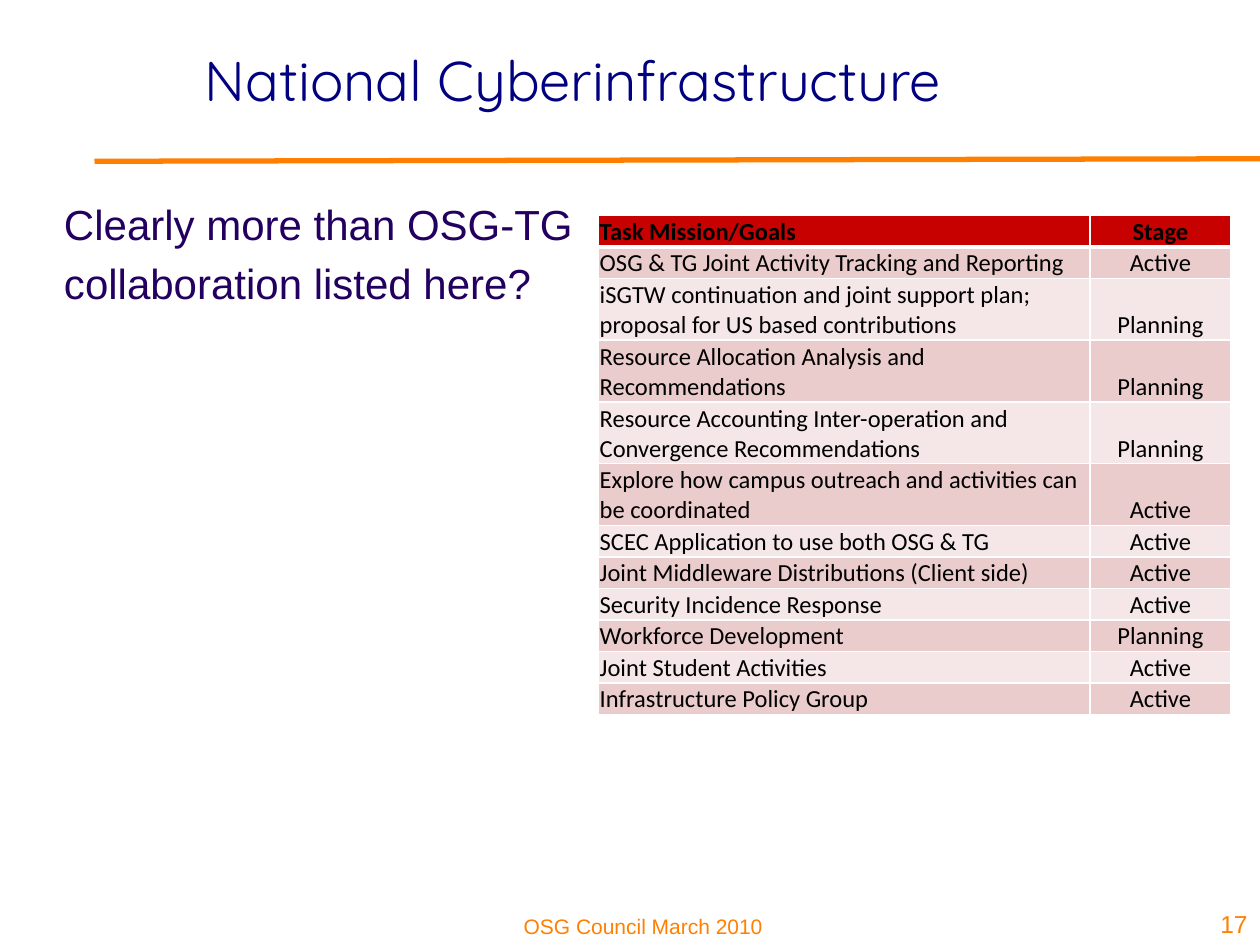
from lxml import etree
from pptx import Presentation
from pptx.dml.color import RGBColor
from pptx.enum.shapes import MSO_CONNECTOR
from pptx.enum.text import MSO_ANCHOR as ANCHOR, PP_ALIGN as ALIGN
from pptx.oxml import parse_xml
from pptx.oxml.ns import nsdecls, qn
from pptx.util import Inches, Pt

ORANGE = "FF8000"
ROW_HEIGHT, TALL_ROW_HEIGHT = 0.25, 0.49


def style(p, size, font, color, align, bold=False):
    p.alignment = align
    for r in p.runs:
        r.font.size = Pt(size)
        r.font.name = font
        r.font.bold = bold
        r.font.color.rgb = RGBColor.from_string(color)


def add_text(box, text, size, font, color, align, anchor, before=0):
    tf = s.shapes.add_textbox(*[Inches(v) for v in box]).text_frame
    tf.word_wrap = True
    tf.vertical_anchor = anchor
    tf.text = text
    for p in tf.paragraphs:
        p.space_before = Pt(before)
        style(p, size, font, color, align)


prs = Presentation()
prs.slide_width, prs.slide_height = Inches(10), Inches(7.5)
s = prs.slides.add_slide(prs.slide_layouts[6])

add_text((3.57, 7.08, 3.07, 0.42), "OSG Council March 2010", 12, "Arial", ORANGE,
         ALIGN.CENTER, ANCHOR.BOTTOM)

rule = s.shapes.add_connector(MSO_CONNECTOR.STRAIGHT, Inches(0.75), Inches(1.28),
                              Inches(10), Inches(1.26))
rule.line.color.rgb = RGBColor.from_string(ORANGE)
rule.line.width = Pt(3)
etree.SubElement(rule._element.spPr, qn("a:effectLst"))

add_text((0.75, 0, 7.6, 1.25), "National Cyberinfrastructure", 32, "Quicksand", "000080",
         ALIGN.CENTER, ANCHOR.MIDDLE)
add_text((0.41, 1.53, 8.5, 5.12), "Clearly more than OSG-TG\ncollaboration listed here?",
         24, "Arial", "23005F", ALIGN.LEFT, ANCHOR.TOP, before=4.8)
add_text((9.2, 7, 0.8, 0.5), "17", 14, "Arial", ORANGE, ALIGN.RIGHT, ANCHOR.BOTTOM)

tasks = [
    ("Task Mission/Goals", "Stage"),
    ("OSG & TG Joint Activity Tracking and Reporting", "Active"),
    ("iSGTW continuation and joint support plan; proposal for US based contributions", "Planning"),
    ("Resource Allocation Analysis and Recommendations", "Planning"),
    ("Resource Accounting Inter-operation and Convergence Recommendations", "Planning"),
    ("Explore how campus outreach and activities can be coordinated", "Active"),
    ("SCEC Application to use both OSG & TG", "Active"),
    ("Joint Middleware Distributions (Client side)", "Active"),
    ("Security Incidence Response", "Active"),
    ("Workforce Development", "Planning"),
    ("Joint Student Activities", "Active"),
    ("Infrastructure Policy Group", "Active"),
]
heights = [TALL_ROW_HEIGHT if len(task) > 46 else ROW_HEIGHT for task, stage in tasks]
table = s.shapes.add_table(len(tasks), 2, Inches(4.75), Inches(1.71),
                           Inches(5.02), Inches(sum(heights))).table
for column, width in zip(table.columns, (3.9, 1.12)):
    column.width = Inches(width)

for i, row in enumerate(tasks):
    table.rows[i].height = Inches(heights[i])
    fill = "C70000" if i == 0 else ("F5E7E7", "EBCCCC")[i % 2]
    for j, text in enumerate(row):
        cell = table.cell(i, j)
        cell.text = text
        cell.vertical_anchor = ANCHOR.BOTTOM
        cell.margin_left = cell.margin_right = cell.margin_top = Inches(0.01)
        cell.margin_bottom = 0
        style(cell.text_frame.paragraphs[0], 14, "Calibri", "000000",
              (ALIGN.LEFT, ALIGN.CENTER)[j], bold=i == 0)
        for side in "LRTB":
            thick = (i, side) in ((0, "B"), (1, "T"))
            cell._tc.get_or_add_tcPr().append(parse_xml(
                f'<a:ln{side} {nsdecls("a")} w="{Pt(3 if thick else 1)}"><a:solidFill>'
                f'<a:srgbClr val="FFFFFF"/></a:solidFill></a:ln{side}>'))
        cell.fill.solid()
        cell.fill.fore_color.rgb = RGBColor.from_string(fill)

prs.save("out.pptx")
